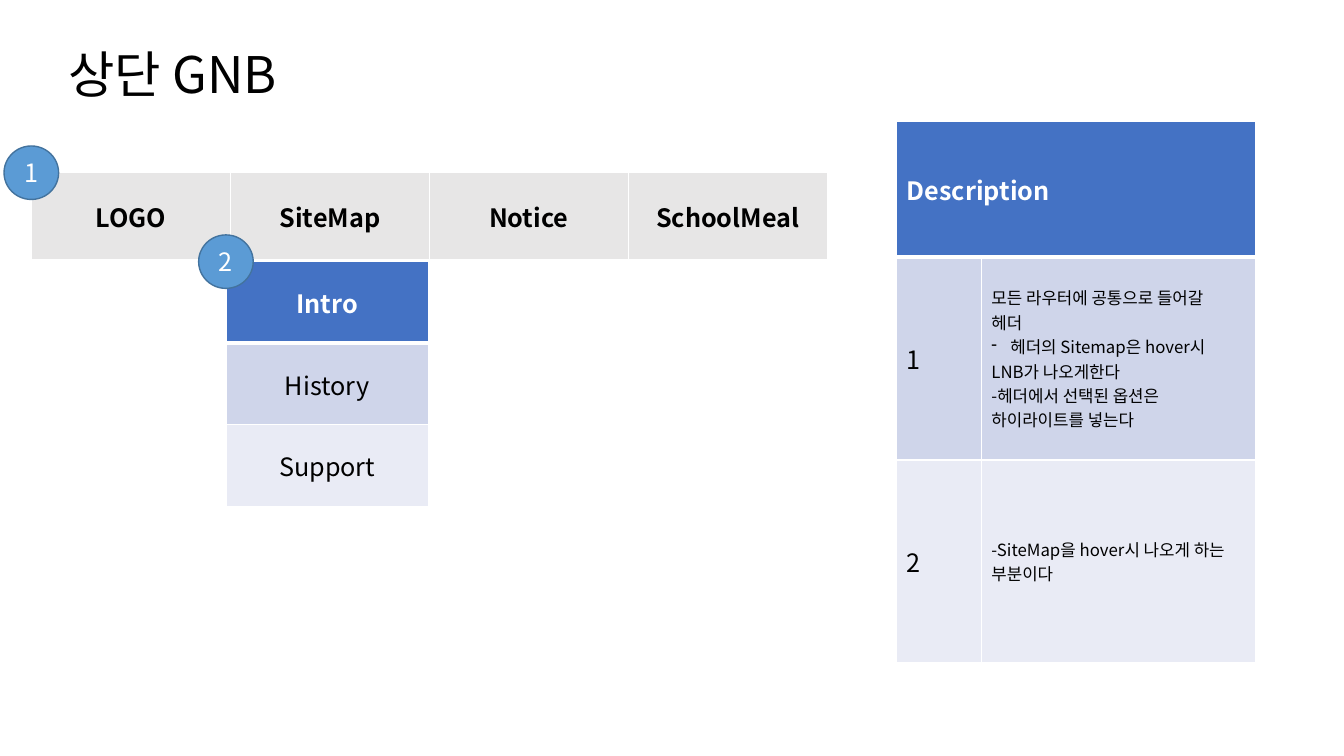
"""Build the wireframe slide describing the top navigation bar."""
from dataclasses import dataclass

from lxml.etree import SubElement
from pptx import Presentation
from pptx.dml.color import RGBColor
from pptx.enum.shapes import MSO_SHAPE
from pptx.enum.text import MSO_ANCHOR, MSO_AUTO_SIZE, PP_ALIGN
from pptx.oxml import parse_xml
from pptx.oxml.ns import nsdecls, qn
from pptx.util import Pt

FONT = "Noto Sans CJK KR"
WHITE, BLACK, GREY = "FFFFFF", "000000", "E7E6E6"
HEADER_BLUE, BAND_DARK, BAND_LIGHT = "4472C4", "CFD5EA", "E9EBF5"
BADGE_FILL, BADGE_LINE = "5B9BD5", "43739E"
BULLET = "- "


@dataclass
class Entry:
    text: str
    fill: str
    size: float = 18
    color: str = BLACK
    bold: bool = False
    align: PP_ALIGN = PP_ALIGN.CENTER
    underline: float = 1


@dataclass
class Grid:
    left: float
    top: float
    widths: list[float]
    heights: list[float]
    rows: list[list[Entry]]
    header: bool = True


@dataclass
class Badge:
    number: str
    left: float
    top: float


def rgb(value: str) -> RGBColor:
    """Turn a hex string into a colour."""
    return RGBColor.from_string(value)


def format_paragraph(paragraph, size: float, color: str, bold: bool, align: PP_ALIGN) -> None:
    """Set alignment and one font for Latin and Korean letters."""
    paragraph.alignment = align
    font = paragraph.font
    font.size, font.bold, font.name = Pt(size), bold, FONT
    font.color.rgb = rgb(color)
    defaults = paragraph._p.pPr.find(qn("a:defRPr"))
    SubElement(defaults, qn("a:ea")).set("typeface", FONT)


def add_dash(paragraph) -> None:
    """Give a paragraph a hanging dash bullet."""
    properties = paragraph._p.get_or_add_pPr()
    properties.set("marL", str(Pt(13.5)))
    properties.set("indent", str(-Pt(13.5)))
    properties.insert(0, parse_xml(f'<a:buChar {nsdecls("a")} char="-"/>'))


def add_borders(cell, underline: float) -> None:
    """Draw white cell borders, placed ahead of the fill."""
    properties = cell._tc.get_or_add_tcPr()
    widths = {"lnL": 1, "lnR": 1, "lnT": 1, "lnB": underline}
    for position, (side, width) in enumerate(widths.items()):
        properties.insert(position, parse_xml(
            f'<a:{side} {nsdecls("a")} w="{Pt(width)}"><a:solidFill>'
            f'<a:srgbClr val="{WHITE}"/></a:solidFill></a:{side}>'))


def fill_cell(cell, entry: Entry) -> None:
    """Write and format one table cell."""
    cell.fill.solid()
    cell.fill.fore_color.rgb = rgb(entry.fill)
    cell.vertical_anchor = MSO_ANCHOR.MIDDLE
    add_borders(cell, entry.underline)
    lines = entry.text.split("\n")
    cell.text = "\n".join(line.removeprefix(BULLET) for line in lines)
    for line, paragraph in zip(lines, cell.text_frame.paragraphs):
        format_paragraph(paragraph, entry.size, entry.color, entry.bold, entry.align)
        if line.startswith(BULLET):
            add_dash(paragraph)


def add_grid(slide, grid: Grid) -> None:
    """Draw a table, merging each row that has a single entry."""
    table = slide.shapes.add_table(
        len(grid.heights), len(grid.widths), Pt(grid.left), Pt(grid.top),
        Pt(sum(grid.widths)), Pt(sum(grid.heights))).table
    table.first_row, table.horz_banding = grid.header, False
    for column, width in zip(table.columns, grid.widths):
        column.width = Pt(width)
    for index, (height, entries) in enumerate(zip(grid.heights, grid.rows)):
        table.rows[index].height = Pt(height)
        if len(entries) < len(grid.widths):
            table.cell(index, 0).merge(table.cell(index, len(grid.widths) - 1))
        for column, entry in enumerate(entries):
            fill_cell(table.cell(index, column), entry)


def add_badge(slide, badge: Badge) -> None:
    """Draw a numbered circle."""
    circle = slide.shapes.add_shape(
        MSO_SHAPE.FLOWCHART_CONNECTOR, Pt(badge.left), Pt(badge.top), Pt(39), Pt(38.2))
    circle.shadow.inherit = False
    circle.fill.solid()
    circle.fill.fore_color.rgb = rgb(BADGE_FILL)
    circle.line.color.rgb = rgb(BADGE_LINE)
    circle.line.width = Pt(1)
    frame = circle.text_frame
    frame.text = badge.number
    frame.vertical_anchor = MSO_ANCHOR.MIDDLE
    format_paragraph(frame.paragraphs[0], 18, WHITE, False, PP_ALIGN.CENTER)


def add_title(slide, text: str) -> None:
    """Place the slide title at the top left."""
    title = slide.shapes.title
    title.left, title.top, title.width, title.height = Pt(41.8), Pt(27.4), Pt(473), Pt(51)
    frame = title.text_frame
    frame.text = text
    frame.auto_size = MSO_AUTO_SIZE.NONE
    frame.vertical_anchor = MSO_ANCHOR.TOP
    format_paragraph(frame.paragraphs[0], 36, BLACK, False, PP_ALIGN.LEFT)


def description_row(number: str, text: str, fill: str) -> list[Entry]:
    """Pair a badge number with its explanation."""
    return [Entry(number, fill, align=PP_ALIGN.LEFT),
            Entry(text, fill, size=12, align=PP_ALIGN.LEFT)]


HEADER_NOTES = """모든 라우터에 공통으로 들어갈
헤더
- 헤더의 Sitemap은 hover시
LNB가 나오게한다
-헤더에서 선택된 옵션은
하이라이트를 넣는다"""

MENU = ["LOGO", "SiteMap", "Notice", "SchoolMeal"]
NAVIGATION = Grid(22.5, 123.3, [142.1] * 4, [63], [
    [Entry(label, GREY, bold=True, underline=3) for label in MENU]], header=False)
SUBMENU = Grid(161.4, 187, [144.6], [58.2] * 3, [
    [Entry("Intro", HEADER_BLUE, color=WHITE, bold=True, underline=3)],
    [Entry("History", BAND_DARK)],
    [Entry("Support", BAND_LIGHT)]])
DESCRIPTION = Grid(640.6, 86.6, [60.4, 195.7], [97, 145, 145], [
    [Entry("Description", HEADER_BLUE, color=WHITE, bold=True,
           align=PP_ALIGN.LEFT, underline=3)],
    description_row("1", HEADER_NOTES, BAND_DARK),
    description_row("2", "-SiteMap을 hover시 나오게 하는 부분이다", BAND_LIGHT)])
BADGES = [Badge("1", 2.9, 104.3), Badge("2", 141.9, 167.8)]


def main() -> None:
    """Assemble and save the slide."""
    deck = Presentation()
    deck.slide_width, deck.slide_height = Pt(960), Pt(540)
    slide = deck.slides.add_slide(deck.slide_layouts[5])
    add_title(slide, "상단 GNB")
    for grid in (NAVIGATION, SUBMENU, DESCRIPTION):
        add_grid(slide, grid)
    for badge in BADGES:
        add_badge(slide, badge)
    deck.save("out.pptx")


if __name__ == "__main__":
    main()
